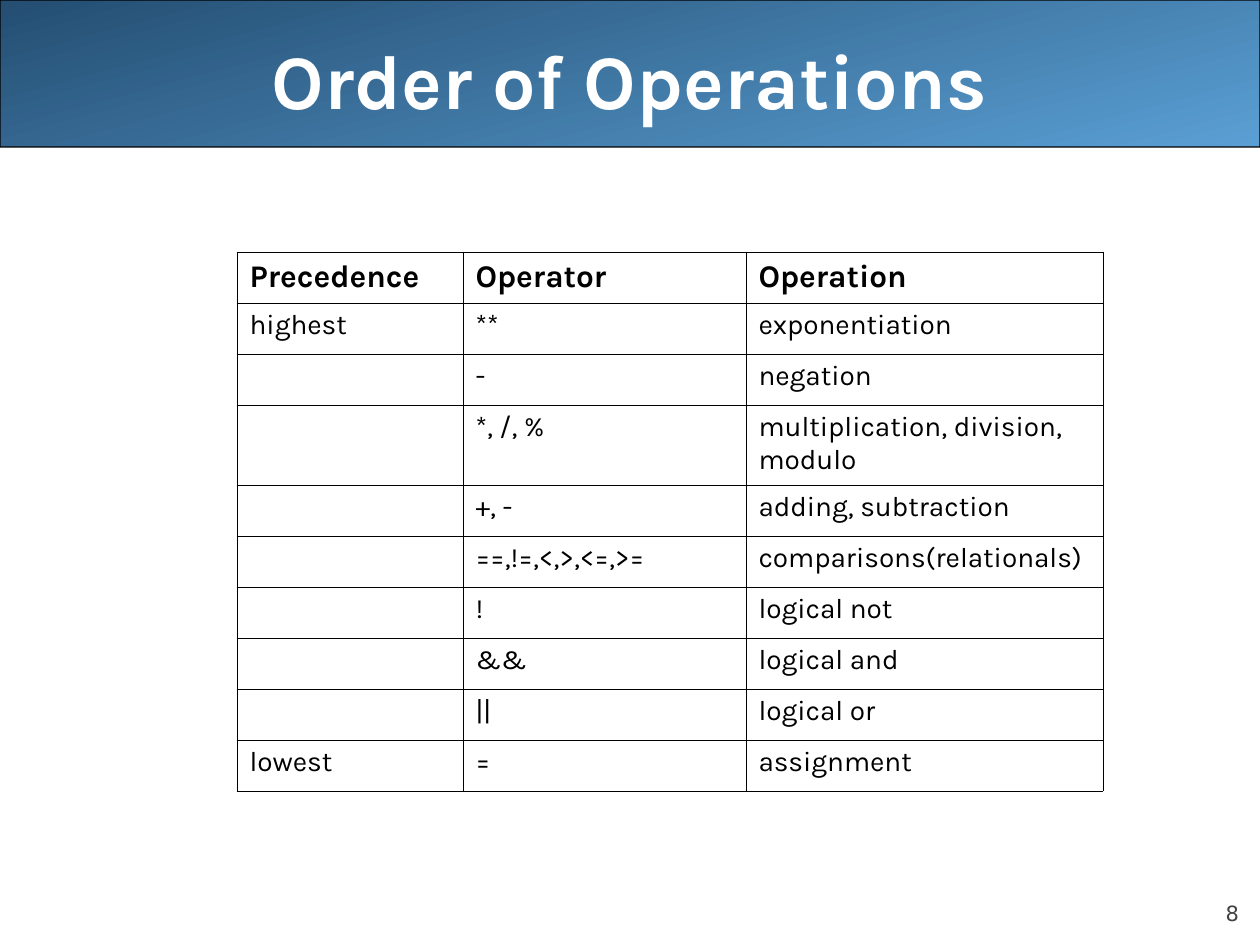
from dataclasses import dataclass

from lxml import etree
from pptx import Presentation
from pptx.dml.color import RGBColor
from pptx.enum.shapes import MSO_SHAPE
from pptx.enum.text import MSO_ANCHOR, PP_ALIGN
from pptx.oxml.ns import qn
from pptx.slide import Slide
from pptx.table import _Cell
from pptx.text.text import TextFrame
from pptx.util import Emu, Pt

ROUND_RECT = MSO_SHAPE.ROUNDED_RECTANGLE
MIDDLE, BOTTOM = MSO_ANCHOR.MIDDLE, MSO_ANCHOR.BOTTOM
LEFT, CENTER, RIGHT = PP_ALIGN.LEFT, PP_ALIGN.CENTER, PP_ALIGN.RIGHT
EMU_PER_PX = 914400 / 126
BORDER_TAGS = ("a:lnL", "a:lnR", "a:lnT", "a:lnB")


@dataclass(frozen=True)
class TextStyle:
    size: int
    color: str
    font: str = "Karla"
    bold: bool = False
    align: PP_ALIGN = LEFT


@dataclass(frozen=True)
class Theme:
    band_dark: str = "244E72"
    band_light: str = "5A9FD4"
    line: str = "000000"
    band_line_width: float = 0.75
    border_width: float = 0.45
    title: TextStyle = TextStyle(44, "FFFFFF", bold=True, align=CENTER)
    header: TextStyle = TextStyle(18, "000000", bold=True)
    body: TextStyle = TextStyle(16, "000000")
    page: TextStyle = TextStyle(12, "424242", font="DejaVu Sans", align=RIGHT)


@dataclass(frozen=True)
class Box:
    left: int
    top: int
    width: int
    height: int

    def emu(self) -> tuple[Emu, Emu, Emu, Emu]:
        return px(self.left), px(self.top), px(self.width), px(self.height)


@dataclass(frozen=True)
class Rule:
    precedence: str
    operator: str
    operation: str
    height: int = 51

    def texts(self) -> tuple[str, str, str]:
        return self.precedence, self.operator, self.operation


THEME = Theme()
COLUMN_WIDTHS = (226, 283, 357)
RULES = (
    Rule("Precedence", "Operator", "Operation"),
    Rule("highest", "**", "exponentiation"),
    Rule("", "-", "negation"),
    Rule("", "*, /, %", "multiplication, division, modulo", 80),
    Rule("", "+, -", "adding, subtraction"),
    Rule("", "==,!=,<,>,<=,>=", "comparisons(relationals)"),
    Rule("", "!", "logical not"),
    Rule("", "&&", "logical and"),
    Rule("", "||", "logical or"),
    Rule("lowest", "=", "assignment"),
)


def px(length: int) -> Emu:
    return Emu(round(length * EMU_PER_PX))


def write(frame: TextFrame, text: str, style: TextStyle) -> None:
    frame.text = text
    paragraph = frame.paragraphs[0]
    paragraph.alignment = style.align
    for run in paragraph.runs:
        run.font.name = style.font
        run.font.size = Pt(style.size)
        run.font.bold = style.bold
        run.font.color.rgb = RGBColor.from_string(style.color)


def add_label(slide: Slide, box: Box, text: str, style: TextStyle,
              anchor: MSO_ANCHOR) -> TextFrame:
    frame = slide.shapes.add_textbox(*box.emu()).text_frame
    frame.word_wrap = True
    frame.vertical_anchor = anchor
    write(frame, text, style)
    return frame


def add_band(slide: Slide, box: Box) -> None:
    band = slide.shapes.add_shape(ROUND_RECT, *box.emu())
    band.adjustments[0] = 0.001
    band.shadow.inherit = False
    band.fill.gradient()
    band.fill.gradient_angle = 360 - 75
    for stop, position, color in zip(band.fill.gradient_stops, (0, 1),
                                     (THEME.band_dark, THEME.band_light)):
        stop.position = position
        stop.color.rgb = RGBColor.from_string(color)
    band.line.color.rgb = RGBColor.from_string(THEME.line)
    band.line.width = Pt(THEME.band_line_width)


def add_borders(cell: _Cell) -> None:
    properties = cell._tc.get_or_add_tcPr()
    for index, tag in enumerate(BORDER_TAGS):
        border = etree.Element(qn(tag), w=str(Pt(THEME.border_width)))
        fill = etree.SubElement(border, qn("a:solidFill"))
        etree.SubElement(fill, qn("a:srgbClr"), val=THEME.line)
        properties.insert(index, border)


def add_precedence_table(slide: Slide, left: int, top: int) -> None:
    box = Box(left, top, sum(COLUMN_WIDTHS), sum(rule.height for rule in RULES))
    table = slide.shapes.add_table(len(RULES), len(COLUMN_WIDTHS), *box.emu()).table
    table.horz_banding = False
    for column, width in zip(table.columns, COLUMN_WIDTHS):
        column.width = px(width)
    for index, (row, rule) in enumerate(zip(table.rows, RULES)):
        row.height = px(rule.height)
        style = THEME.body if index else THEME.header
        for cell, text in zip(row.cells, rule.texts()):
            cell.fill.background()
            add_borders(cell)
            write(cell.text_frame, text, style)


def main() -> None:
    deck = Presentation()
    deck.slide_width, deck.slide_height = px(1260), px(945)
    slide = deck.slides.add_slide(deck.slide_layouts[6])
    add_band(slide, Box(0, 0, 1260, 147))
    page = add_label(slide, Box(1134, 876, 105, 50), "8", THEME.page, BOTTOM)
    page.margin_left = page.margin_right = page.margin_top = page.margin_bottom = 0
    add_label(slide, Box(63, 0, 1134, 158), "Order of Operations", THEME.title, MIDDLE)
    add_precedence_table(slide, 237, 252)
    deck.save("out.pptx")


if __name__ == "__main__":
    main()
